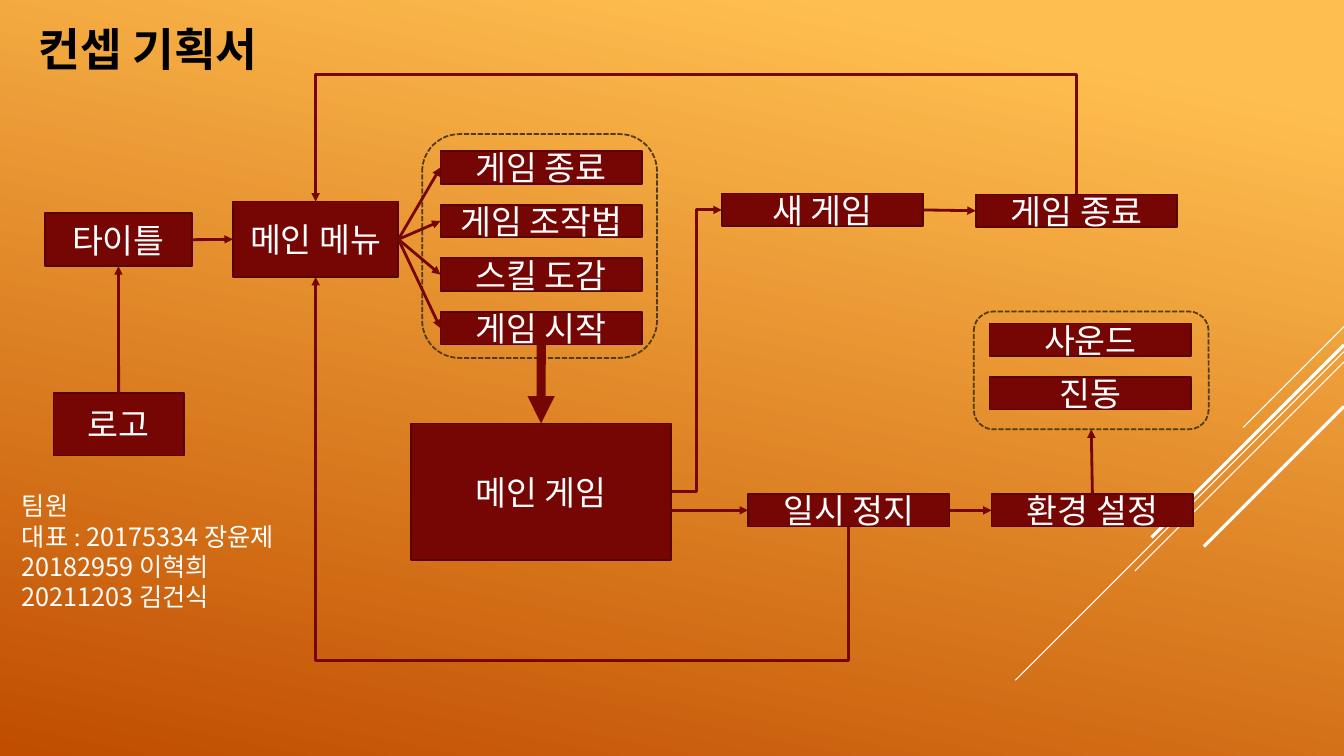
import dataclasses

import lxml.etree
import pptx
import pptx.dml.color
import pptx.enum.dml
import pptx.enum.shapes
import pptx.enum.text
import pptx.oxml.ns
import pptx.util

Cm = pptx.util.Cm
Pt = pptx.util.Pt
RGB = pptx.dml.color.RGBColor.from_string
qn = pptx.oxml.ns.qn
Shape = pptx.enum.shapes.MSO_SHAPE
Connector = pptx.enum.shapes.MSO_CONNECTOR
Align = pptx.enum.text.PP_ALIGN
Anchor = pptx.enum.text.MSO_ANCHOR
AutoSize = pptx.enum.text.MSO_AUTO_SIZE


@dataclasses.dataclass(frozen=True)
class Theme:
    glow: str = "FFBF50"
    ember: str = "C04D00"
    box: str = "760603"
    box_edge: str = "570402"
    group_edge: str = "503B0D"
    light: str = "FFFFFF"
    dark: str = "000000"
    latin: str = "Lato"
    korean: str = "Noto Sans CJK KR"
    heading_size: float = 32.4
    screen_size: float = 24
    team_size: float = 18
    team_leading: float = 21.6
    edge: float = 1.25
    arrow: float = 2
    thick_arrow: float = 6.5


@dataclasses.dataclass(frozen=True)
class Screen:
    text: str
    left: float
    top: float
    width: float = 5.08
    height: float = 0.82

    @property
    def right(self) -> float:
        return self.left + self.width

    @property
    def bottom(self) -> float:
        return self.top + self.height

    @property
    def center(self) -> float:
        return self.left + self.width / 2

    @property
    def middle(self) -> float:
        return self.top + self.height / 2


@dataclasses.dataclass(frozen=True)
class Link:
    source: Screen
    source_site: int
    target: Screen
    target_site: int
    weight: float


@dataclasses.dataclass(frozen=True)
class Streak:
    top: float
    span: float
    weight: float


THEME = Theme()
WIDTH, HEIGHT = 33.87, 19.05
PITCH = 1.35
TOP, LEFT, BOTTOM, RIGHT = range(4)

logo = Screen("로고", 1.35, 9.91, 3.28, 1.57)
intro = Screen("타이틀", 1.13, 5.37, 3.71, 1.34)
menu = Screen("메인 메뉴", 5.87, 5.08, 4.17, 1.9)
menu_items = [Screen(text, 11.1, 3.81 + row * PITCH)
              for row, text in enumerate(["게임 종료", "게임 조작법", "스킬 도감", "게임 시작"])]
main_game = Screen("메인 게임", 10.36, 10.67, 6.55, 3.45)
new_game = Screen("새 게임", 18.19, 4.88)
game_over = Screen("게임 종료", 24.59, 4.9)
pause = Screen("일시 정지", 18.85, 12.45)
settings = Screen("환경 설정", 24.99, 12.45)
options = [Screen(text, 24.94, 8.15 + row * PITCH)
           for row, text in enumerate(["사운드", "진동"])]
menu_group = Screen("", 10.64, 3.38, 5.92, 5.64)
options_group = Screen("", 24.54, 7.85, 5.92, 2.97)

screens = [logo, intro, menu, *menu_items, main_game, new_game, game_over,
           pause, settings, *options]
links = [
    Link(logo, TOP, intro, BOTTOM, THEME.arrow),
    Link(intro, RIGHT, menu, LEFT, THEME.arrow),
    *[Link(menu, RIGHT, item, LEFT, THEME.arrow) for item in menu_items],
    Link(menu_items[-1], BOTTOM, main_game, TOP, THEME.thick_arrow),
    Link(new_game, RIGHT, game_over, LEFT, THEME.arrow),
    Link(pause, RIGHT, settings, LEFT, THEME.arrow),
    Link(settings, TOP, options_group, BOTTOM, THEME.arrow),
]
streaks = [Streak(8.23, 2.54, 0.75), Streak(8.86, 8.28, 0.75), Streak(9.12, 5.27, 0.75),
           Streak(8.69, 4.85, 2.25), Streak(10.24, 3.53, 2.25)]

deck = pptx.Presentation()
deck.slide_width, deck.slide_height = Cm(WIDTH), Cm(HEIGHT)
slide = deck.slides.add_slide(deck.slide_layouts[1])


def paint_background() -> None:
    fill = slide.background.fill
    fill.gradient()
    fill.gradient_angle = 258
    for stop, position, color in zip(fill.gradient_stops, (0.1, 1), (THEME.glow, THEME.ember)):
        stop.position = position
        stop.color.rgb = RGB(color)


def style_font(font, size: float, color: str, name: str = THEME.latin, bold: bool = False) -> None:
    font.size, font.name, font.bold = Pt(size), name, bold
    font.color.rgb = RGB(color)


def place(shape, left: float, top: float, width: float, height: float) -> None:
    shape.left, shape.top, shape.width, shape.height = Cm(left), Cm(top), Cm(width), Cm(height)


def draw_screen(screen: Screen):
    group = not screen.text
    shape = slide.shapes.add_shape(
        Shape.ROUNDED_RECTANGLE if group else Shape.RECTANGLE,
        Cm(screen.left), Cm(screen.top), Cm(screen.width), Cm(screen.height))
    shape.shadow.inherit = False
    shape.line.width = Pt(THEME.edge)
    shape.line.color.rgb = RGB(THEME.group_edge if group else THEME.box_edge)
    if group:
        shape.fill.background()
        shape.line.dash_style = pptx.enum.dml.MSO_LINE.SQUARE_DOT
        return shape
    shape.fill.solid()
    shape.fill.fore_color.rgb = RGB(THEME.box)
    shape.text_frame.text = screen.text
    shape.text_frame.vertical_anchor = Anchor.MIDDLE
    label = shape.text_frame.paragraphs[0]
    label.alignment = Align.CENTER
    style_font(label.font, THEME.screen_size, THEME.light)
    return shape


def draw_line(x1: float, y1: float, x2: float, y2: float, weight: float = THEME.arrow,
              color: str = THEME.box, kind=Connector.STRAIGHT, arrow: bool = True):
    line = slide.shapes.add_connector(kind, Cm(x1), Cm(y1), Cm(x2), Cm(y2))
    line.line.width = Pt(weight)
    line.line.color.rgb = RGB(color)
    properties = line._element.spPr
    if arrow:
        lxml.etree.SubElement(properties.find(qn("a:ln")), qn("a:tailEnd"), type="triangle")
    lxml.etree.SubElement(properties, qn("a:effectLst"))
    return line


def draw_return(x1: float, y1: float, x2: float, y2: float, turn: float) -> None:
    run, rise = abs(x2 - x1), abs(y2 - y1)
    left, top = (x1 + x2 - rise) / 2, (y1 + y2 - run) / 2
    line = draw_line(left, top, left + rise, top + run, kind=Connector.ELBOW)
    properties = line._element.spPr
    frame = properties.find(qn("a:xfrm"))
    frame.set("rot", str(270 * 60000))
    frame.set("flipH", str(int(y2 > y1)))
    frame.set("flipV", str(int(x2 < x1)))
    bend = round((turn - y1) / (y2 - y1) * 100000)
    guides = properties.find(qn("a:prstGeom")).find(qn("a:avLst"))
    lxml.etree.SubElement(guides, qn("a:gd"), name="adj1", fmla=f"val {bend}")


def write_heading() -> None:
    heading = slide.shapes.title
    place(heading, 0.43, 0.38, 6.6, 1.7)
    frame = heading.text_frame
    frame.text = "컨셉 기획서"
    frame.auto_size, frame.vertical_anchor = AutoSize.NONE, Anchor.MIDDLE
    frame.paragraphs[0].alignment = Align.CENTER
    style_font(frame.paragraphs[0].font, THEME.heading_size, THEME.dark, bold=True)


def write_team() -> None:
    team = slide.placeholders[1]
    place(team, 0.3, 12.24, 7.26, 4.11)
    frame = team.text_frame
    frame.word_wrap, frame.auto_size = True, AutoSize.SHAPE_TO_FIT_TEXT
    frame.vertical_anchor = Anchor.TOP
    members = [
        [("팀원", THEME.latin)],
        [("대표 : ", THEME.latin), ("20175334 장윤제", THEME.korean)],
        [("20182959 이혁희", THEME.korean)],
        [("20211203 김건식", THEME.korean)],
    ]
    for row, parts in enumerate(members):
        entry = frame.paragraphs[0] if row == 0 else frame.add_paragraph()
        entry.space_before, entry.line_spacing = Pt(0), Pt(THEME.team_leading)
        indents = entry._p.get_or_add_pPr()
        indents.set("marL", "0")
        indents.set("indent", "0")
        lxml.etree.SubElement(indents, qn("a:buNone"))
        style_font(entry.font, THEME.team_size, THEME.light, parts[0][1])
        for text, name in parts:
            part = entry.add_run()
            part.text = text
            if len(parts) > 1:
                part.font.name = name


paint_background()
write_heading()
for streak in streaks:
    draw_line(WIDTH, streak.top, WIDTH - streak.span, streak.top + streak.span,
              streak.weight, THEME.light, arrow=False)
draw_return(pause.center, pause.top, menu.center, menu.bottom, 16.64)
draw_return(game_over.center, game_over.top, menu.center, menu.top, 1.88)
draw_line(main_game.right, main_game.middle - 0.01, new_game.left, new_game.middle,
          kind=Connector.ELBOW)
drawn = {screen: draw_screen(screen) for screen in [menu_group, options_group, *screens]}
for link in links:
    arrow = draw_line(0, 0, 1, 1, link.weight)
    arrow.begin_connect(drawn[link.source], link.source_site)
    arrow.end_connect(drawn[link.target], link.target_site)
draw_line(main_game.right, pause.middle, pause.left, pause.middle)
write_team()
deck.save("out.pptx")
